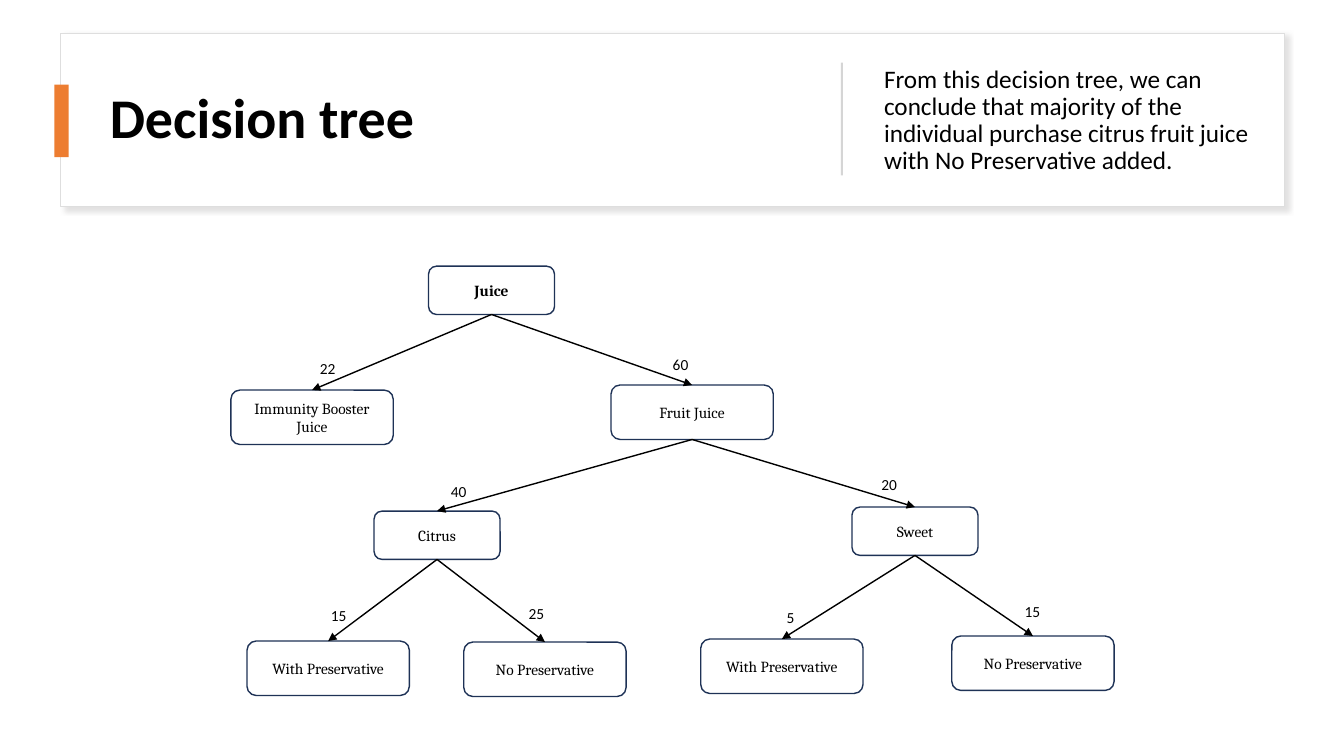
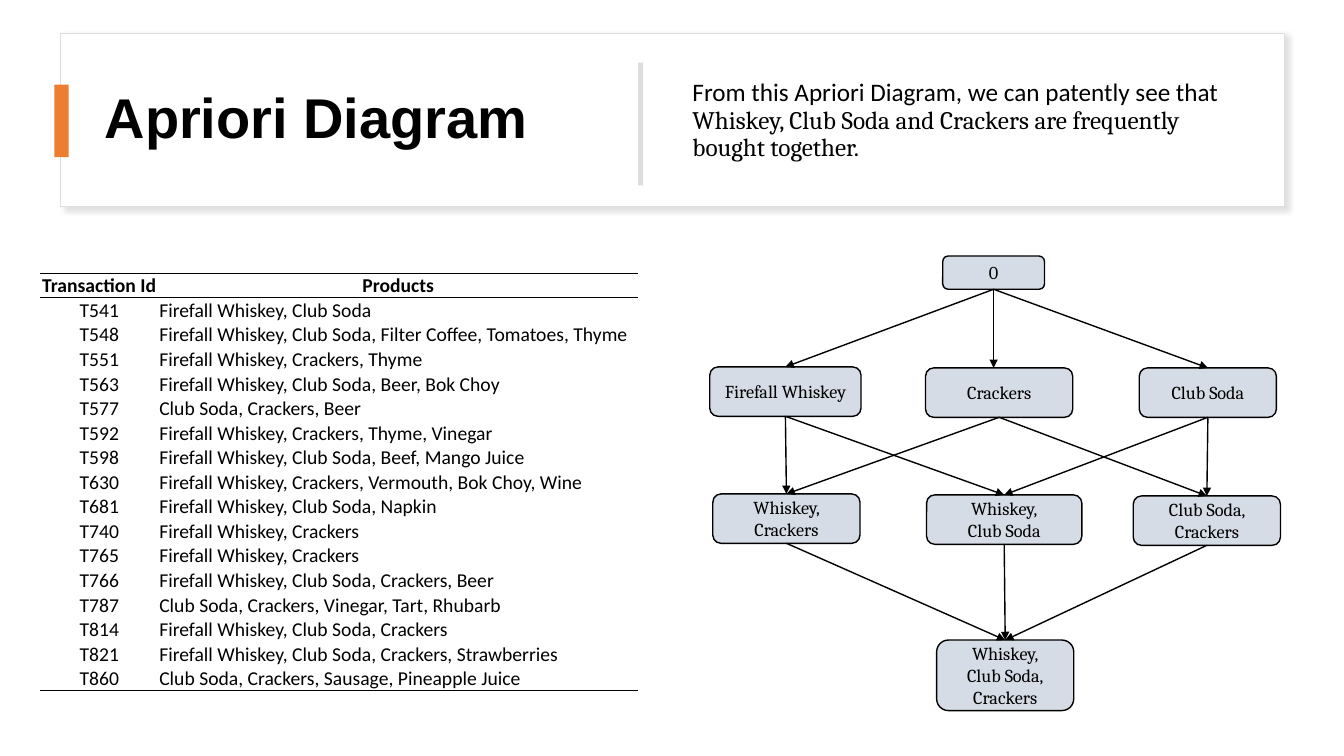
import lxml.etree
import pptx
import pptx.dml.color
import pptx.enum.shapes
import pptx.enum.text
import pptx.oxml.ns
import pptx.util

Inches = pptx.util.Inches
Pt = pptx.util.Pt
ShapeKind = pptx.enum.shapes.MSO_SHAPE
Anchor = pptx.enum.text.MSO_ANCHOR
Align = pptx.enum.text.PP_ALIGN

BLACK, WHITE, ORANGE = "000000", "FFFFFF", "ED7D31"
FRAME_LINE, SHADOW = "DEDEDE", "C5C3C3"
NAVY, PALE_BLUE = "1E3256", "D6DCE5"
NO_STYLE_NO_GRID = "{2D5ABB26-0587-4C30-8999-92F81FD0307C}"


def color(hex_string):
    return pptx.dml.color.RGBColor.from_string(hex_string)


def add_child(parent, tag, **attributes):
    child = lxml.etree.SubElement(parent, pptx.oxml.ns.qn(tag))
    for name, value in attributes.items():
        child.set(name, str(value))
    return child


class Deck:
    """Holds the shared style and the slide being built."""

    def __init__(self):
        self.presentation = pptx.Presentation()
        self.presentation.slide_width = Inches(13.33)
        self.presentation.slide_height = Inches(7.5)
        self.slide = None

    def start_slide(self, title, title_left, title_font):
        """Add a slide with the framed header, the accent tab and the title."""
        self.slide = self.presentation.slides.add_slide(self.presentation.slide_layouts[6])
        frame = self.box((0.6, 0.33, 12.14, 1.72), WHITE, FRAME_LINE)
        self.drop_shadow(frame)
        self.box((0.54, 0.84, 0.14, 0.72), ORANGE)
        self.text((title_left, 0.44, 7.05, 1.5), [(title, title_font)], 40, bold=True)

    def box(self, place, fill=None, line=None, kind=ShapeKind.RECTANGLE):
        shape = self.slide.shapes.add_shape(kind, *map(Inches, place))
        shape.shadow.inherit = False
        if fill:
            shape.fill.solid()
            shape.fill.fore_color.rgb = color(fill)
        else:
            shape.fill.background()
        if line:
            shape.line.color.rgb = color(line)
            shape.line.width = Pt(1)
        else:
            shape.line.fill.background()
        return shape

    def drop_shadow(self, shape):
        effects = shape.element.spPr.find(pptx.oxml.ns.qn("a:effectLst"))
        shadow = add_child(effects, "a:outerShdw", blurRad=Pt(4), dist=Pt(3),
                           dir=45 * 60000, algn="tl", rotWithShape=0)
        tint = add_child(shadow, "a:srgbClr", val=SHADOW)
        add_child(tint, "a:alpha", val=50000)

    def style(self, paragraph, size, font="Calibri", bold=False, align=Align.LEFT):
        paragraph.alignment = align
        paragraph.font.size = Pt(size)
        paragraph.font.name = font
        paragraph.font.bold = bold
        paragraph.font.color.rgb = color(BLACK)

    def text(self, place, runs, size, bold=False):
        """Header text; runs are (words, font) pairs in one paragraph."""
        frame = self.slide.shapes.add_textbox(*map(Inches, place)).text_frame
        frame.word_wrap = True
        frame.vertical_anchor = Anchor.MIDDLE
        paragraph = frame.paragraphs[0]
        paragraph.line_spacing = 0.9
        self.style(paragraph, size, runs[0][1], bold)
        for words, font in runs:
            run = paragraph.add_run()
            run.text = words
            if font != runs[0][1]:
                run.font.name = font

    def node(self, words, place, size, fill=None, line=BLACK, bold=False):
        shape = self.box(place, fill, line, ShapeKind.ROUNDED_RECTANGLE)
        frame = shape.text_frame
        frame.word_wrap = True
        frame.vertical_anchor = Anchor.MIDDLE
        frame.margin_left = frame.margin_right = Inches(0.07)
        frame.margin_top = frame.margin_bottom = 0
        frame.text = words
        self.style(frame.paragraphs[0], size, "Cambria", bold, Align.CENTER)
        return shape

    def arrow(self, parent, child, upright=False):
        """Join the bottom of parent to the top of child."""
        start = parent.left + parent.width // 2
        arrow = self.slide.shapes.add_connector(
            pptx.enum.shapes.MSO_CONNECTOR.STRAIGHT,
            start, parent.top + parent.height, start, child.top)
        arrow.begin_connect(parent, 2)
        if not upright:
            arrow.end_connect(child, 0)
        arrow.line.color.rgb = color(BLACK)
        arrow.line.width = Pt(1)
        add_child(arrow.line._get_or_add_ln(), "a:tailEnd", type="triangle")
        add_child(arrow._element.spPr, "a:effectLst")

    def count(self, number, left, top):
        frame = self.slide.shapes.add_textbox(
            *map(Inches, (left, top, 0.4, 0.17))).text_frame
        frame.margin_left = frame.margin_right = 0
        frame.margin_top = frame.margin_bottom = 0
        frame.word_wrap = True
        frame.vertical_anchor = Anchor.MIDDLE
        frame.text = str(number)
        self.style(frame.paragraphs[0], 11, align=Align.CENTER)

    def table(self, left, top, column_widths, row_height, rows):
        """Plain table ruled above and below the header and below the last row."""
        table = self.slide.shapes.add_table(
            len(rows), len(column_widths), Inches(left), Inches(top),
            Inches(sum(column_widths)), Inches(row_height * len(rows))).table
        table.horz_banding = False
        style_id = table._tbl.tblPr.find(pptx.oxml.ns.qn("a:tableStyleId"))
        style_id.text = NO_STYLE_NO_GRID
        for column, width in zip(table.columns, column_widths):
            column.width = Inches(width)
        for row_index, row in enumerate(rows):
            table.rows[row_index].height = Inches(row_height)
            header = row_index == 0
            edges = ["a:lnT", "a:lnB"] if header else []
            if row_index == len(rows) - 1:
                edges = ["a:lnB"]
            for column_index, words in enumerate(row):
                cell = table.cell(row_index, column_index)
                cell.text = words
                cell.vertical_anchor = Anchor.BOTTOM
                cell.margin_left = cell.margin_right = cell.margin_top = Inches(0.01)
                cell.margin_bottom = 0
                centred = header or column_index == 0
                self.style(cell.text_frame.paragraphs[0], 14, bold=header,
                           align=Align.CENTER if centred else Align.LEFT)
                for edge in edges:
                    self.cell_edge(cell, edge)
                cell.fill.background()

    def cell_edge(self, cell, edge):
        line = add_child(cell._tc.get_or_add_tcPr(), edge, w=Pt(1))
        add_child(add_child(line, "a:solidFill"), "a:srgbClr", val=BLACK)


def build_decision_tree(deck):
    deck.start_slide("Decision tree", 0.99, "Calibri")
    deck.text((8.67, 0.55, 3.87, 1.3), [(
        "From this decision tree, we can conclude that majority of the individual "
        "purchase citrus fruit juice with No Preservative added.", "Calibri")], 18)
    deck.box((8.34, 0.62, 0.02, 1.12), "D5D5D5")

    small, large = (1.25, 0.48), (1.61, 0.54)
    nodes = {
        key: deck.node(words, (left, top, *size), 11, line=NAVY, bold=key == "root")
        for key, words, left, top, size in [
            ("root", "Juice", 4.25, 2.64, small),
            ("immunity", "Immunity Booster Juice", 2.29, 3.87, large),
            ("fruit", "Fruit Juice", 6.06, 3.82, large),
            ("citrus", "Citrus", 3.71, 5.07, small),
            ("sweet", "Sweet", 8.45, 5.03, small),
            ("citrus with", "With Preservative", 2.45, 6.36, large),
            ("citrus without", "No Preservative", 4.6, 6.37, large),
            ("sweet with", "With Preservative", 6.95, 6.34, large),
            ("sweet without", "No Preservative", 9.44, 6.31, large),
        ]
    }
    for parent, child, number, left, top in [
        ("root", "immunity", 22, 3.05, 3.57),
        ("root", "fruit", 60, 6.55, 3.53),
        ("fruit", "citrus", 40, 4.35, 4.79),
        ("fruit", "sweet", 20, 8.62, 4.72),
        ("citrus", "citrus with", 15, 3.16, 6.02),
        ("citrus", "citrus without", 25, 5.12, 6),
        ("sweet", "sweet with", 5, 7.64, 6.04),
        ("sweet", "sweet without", 15, 10.04, 5.98),
    ]:
        deck.arrow(nodes[parent], nodes[child])
        deck.count(number, left, top)


def build_apriori_diagram(deck):
    deck.start_slide("Apriori Diagram", 0.94, "Arial")
    deck.text((6.77, 0.55, 5.77, 1.3), [
        ("From this Apriori Diagram, we can patently see that ", "Calibri"),
        ("Whiskey, Club Soda and Crackers are frequently bought together.", "Cambria"),
    ], 18)
    deck.box((6.33, 0.62, 0.05, 1.22), "DDDDDD")

    deck.table(0.4, 2.71, (1.17, 4.76), 0.24, [
        ("Transaction Id", "Products"),
        ("T541", "Firefall Whiskey, Club Soda"),
        ("T548", "Firefall Whiskey, Club Soda, Filter Coffee, Tomatoes, Thyme"),
        ("T551", "Firefall Whiskey, Crackers, Thyme"),
        ("T563", "Firefall Whiskey, Club Soda, Beer, Bok Choy"),
        ("T577", "Club Soda, Crackers, Beer"),
        ("T592", "Firefall Whiskey, Crackers, Thyme, Vinegar"),
        ("T598", "Firefall Whiskey, Club Soda, Beef, Mango Juice"),
        ("T630", "Firefall Whiskey, Crackers, Vermouth, Bok Choy, Wine"),
        ("T681", "Firefall Whiskey, Club Soda, Napkin"),
        ("T740", "Firefall Whiskey, Crackers"),
        ("T765", "Firefall Whiskey, Crackers"),
        ("T766", "Firefall Whiskey, Club Soda, Crackers, Beer"),
        ("T787", "Club Soda, Crackers, Vinegar, Tart, Rhubarb"),
        ("T814", "Firefall Whiskey, Club Soda, Crackers"),
        ("T821", "Firefall Whiskey, Club Soda, Crackers, Strawberries"),
        ("T860", "Club Soda, Crackers, Sausage, Pineapple Juice"),
    ])

    nodes = {
        key: deck.node(words, place, 13, PALE_BLUE)
        for key, words, place in [
            ("empty", "0", (9.35, 2.54, 1.01, 0.33)),
            ("W", "Firefall Whiskey", (7.04, 3.64, 1.5, 0.49)),
            ("C", "Crackers", (9.18, 3.65, 1.46, 0.49)),
            ("S", "Club Soda", (11.3, 3.65, 1.36, 0.49)),
            ("WC", "Whiskey, Crackers", (7.07, 4.9, 1.46, 0.49)),
            ("WS", "Whiskey,\vClub Soda", (9.19, 4.91, 1.54, 0.49)),
            ("SC", "Club Soda, Crackers", (11.24, 4.92, 1.46, 0.49)),
            ("WSC", "Whiskey,\vClub Soda,\vCrackers", (9.29, 6.35, 1.36, 0.7)),
        ]
    }
    for item in "WCS":
        deck.arrow(nodes["empty"], nodes[item], upright=item == "C")
    for pair in ("WC", "WS", "SC"):
        for item in pair:
            deck.arrow(nodes[item], nodes[pair])
        deck.arrow(nodes[pair], nodes["WSC"])


def main():
    deck = Deck()
    build_decision_tree(deck)
    build_apriori_diagram(deck)
    deck.presentation.save("out.pptx")


if __name__ == "__main__":
    main()
